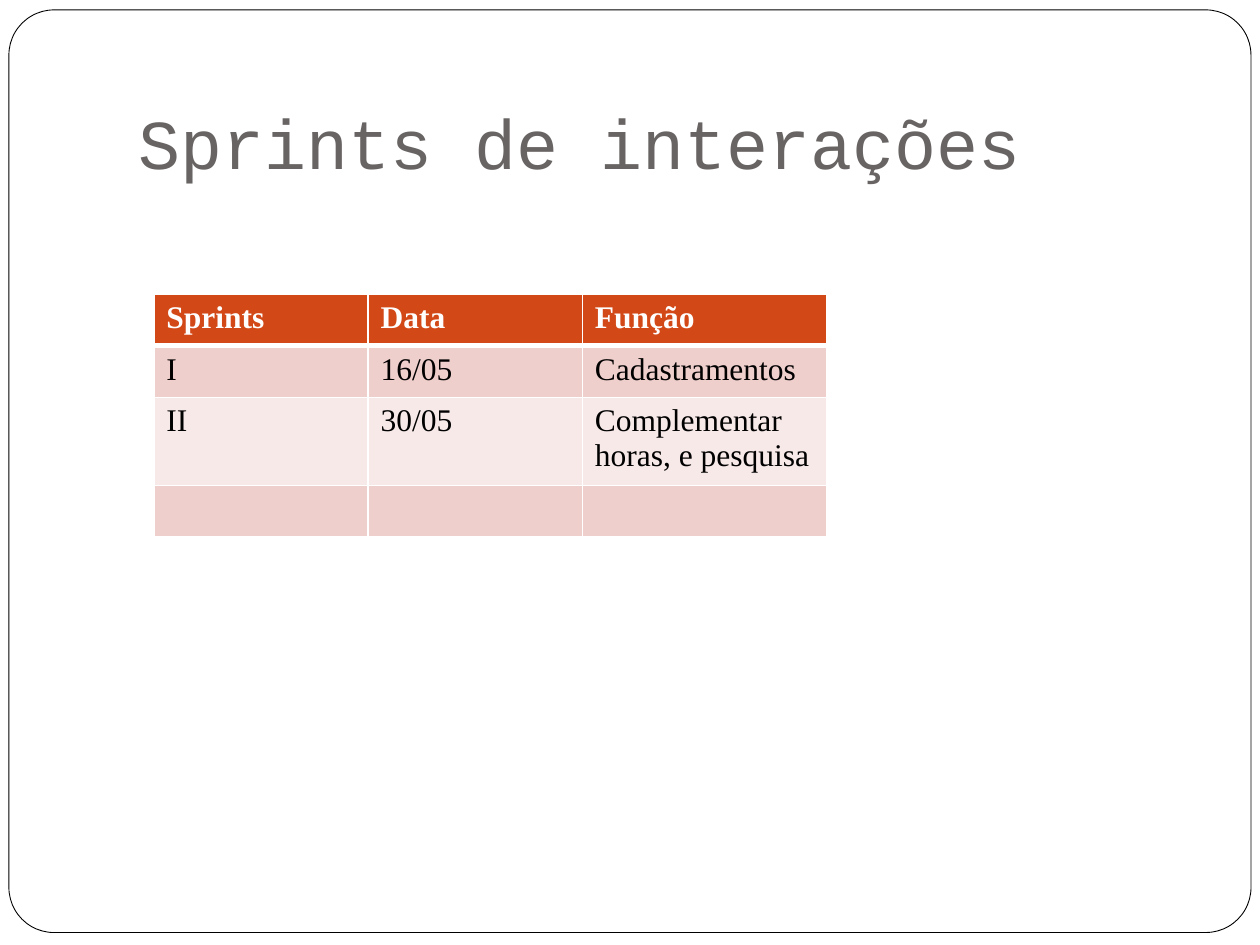
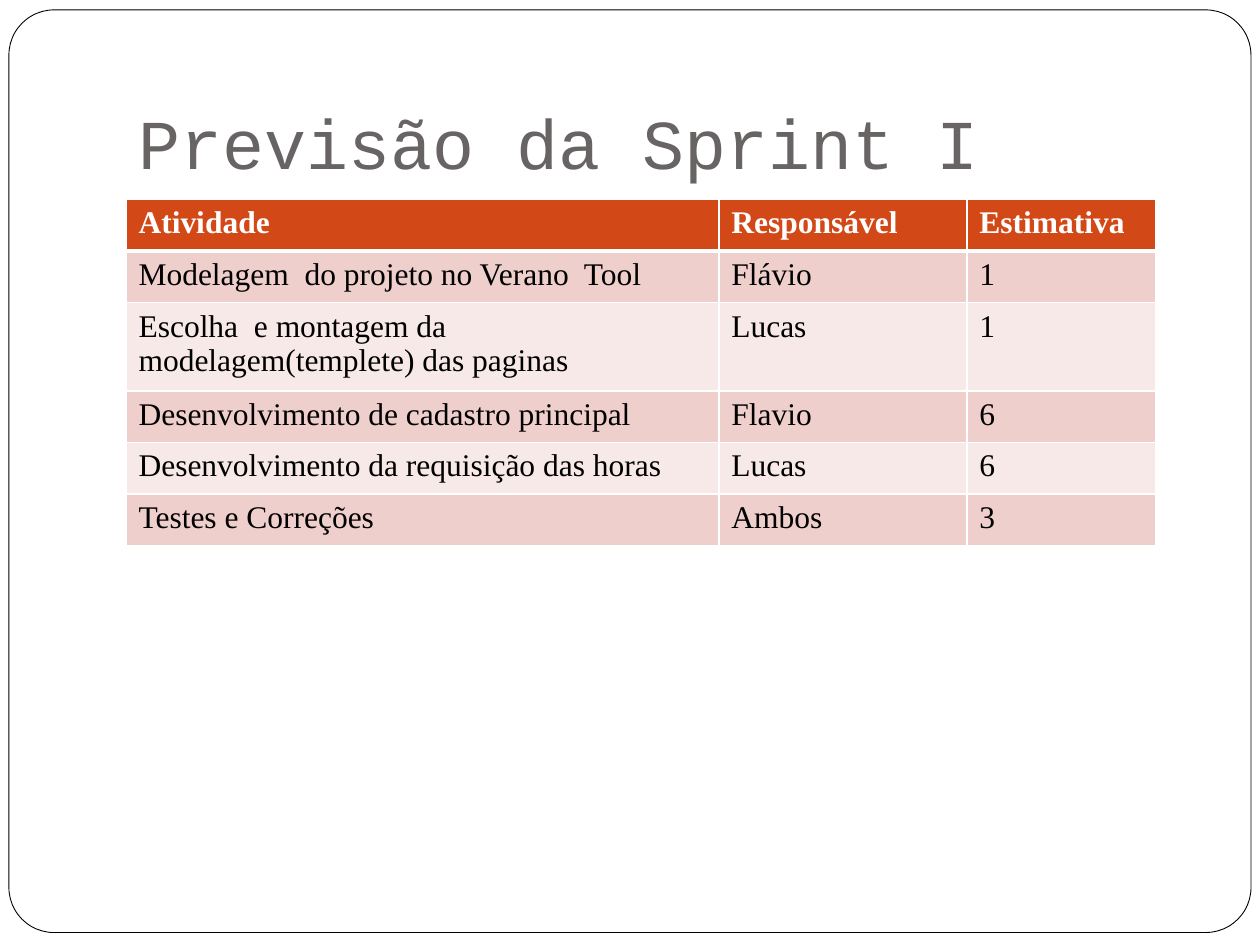
"""Build two sprint planning slides: a framed page, a title and a banded table."""
from dataclasses import dataclass
from typing import Any

from lxml import etree
from pptx import Presentation
from pptx.dml.color import RGBColor
from pptx.enum.shapes import MSO_SHAPE
from pptx.enum.text import MSO_ANCHOR
from pptx.oxml.ns import qn
from pptx.util import Cm, Pt

ROUNDED = MSO_SHAPE.ROUNDED_RECTANGLE
BOTTOM = MSO_ANCHOR.BOTTOM

WHITE, BLACK, GREY = "FFFFFF", "000000", "696464"
HEADER_FILL = "D34817"
BAND_FILLS = ("EFCFCC", "F7E9E8")

TITLE_FONT = {"name": "Courier New", "size": Pt(40), "bold": False}
HEADER_FONT = {"name": "Times New Roman", "size": Pt(18), "bold": True}
BODY_FONT = HEADER_FONT | {"bold": False}
TITLE_FRAME = {
    "word_wrap": True,
    "vertical_anchor": BOTTOM,
    "margin_left": Cm(0.25),
    "margin_right": Cm(0.25),
    "margin_top": Cm(0.13),
    "margin_bottom": Cm(0.25),
}
ROW_HEIGHT = 1.04
THIN, THICK = Pt(1), Pt(3)


@dataclass(frozen=True)
class SprintPage:
    """A titled slide with one table; lengths are in centimetres."""

    title: str
    left: float
    top: float
    widths: tuple[float, ...]
    rows: tuple[tuple[str, ...], ...]


PAGES = (
    SprintPage(
        "Sprints de interações", 3.1, 5.93, (4.32, 4.32, 4.93),
        (
            ("Sprints", "Data", "Função"),
            ("I", "16/05", "Cadastramentos"),
            ("II", "30/05", "Complementar horas, e pesquisa"),
            ("", "", ""),
        ),
    ),
    SprintPage(
        "Previsão da Sprint I", 2.54, 4.02, (11.95, 5, 3.8),
        (
            ("Atividade", "Responsável", "Estimativa"),
            ("Modelagem  do projeto no Verano  Tool", "Flávio", "1"),
            ("Escolha  e montagem da modelagem(templete) das paginas", "Lucas", "1"),
            ("Desenvolvimento de cadastro principal", "Flavio", "6"),
            ("Desenvolvimento da requisição das horas", "Lucas", "6"),
            ("Testes e Correções", "Ambos", "3"),
        ),
    ),
)


def colour(hex_code: str) -> RGBColor:
    """Turn a hex string into a colour."""
    return RGBColor.from_string(hex_code)


def apply(target: Any, values: dict[str, Any]) -> None:
    """Set each named attribute on the target."""
    for name, value in values.items():
        setattr(target, name, value)


def write(frame: Any, text: str, font: dict[str, Any], ink: str) -> None:
    """Put one formatted span into a text frame."""
    span = frame.paragraphs[0].add_run()
    span.text = text
    apply(span.font, font)
    span.font.color.rgb = colour(ink)


def draw_frame(page: Any) -> None:
    """Draw the rounded outline around the page."""
    box = page.shapes.add_shape(ROUNDED, Cm(0.18), Cm(0.2), Cm(25.04), Cm(18.6))
    box.adjustments[0] = 0.049
    box.shadow.inherit = False
    box.fill.solid()
    box.fill.fore_color.rgb = colour(WHITE)
    box.line.color.rgb = colour(BLACK)
    box.line.width = Pt(0.5)


def draw_title(page: Any, text: str) -> None:
    """Add the slide title, resting on the bottom of its box."""
    box = page.shapes.add_textbox(Cm(2.54), Cm(0.76), Cm(21.59), Cm(3.18))
    apply(box.text_frame, TITLE_FRAME)
    write(box.text_frame, text, TITLE_FONT, GREY)


def set_borders(cell: Any, top: int, bottom: int) -> None:
    """Give a cell white borders, placed ahead of its fill."""
    properties = cell._tc.get_or_add_tcPr()
    edges = {"a:lnL": THIN, "a:lnR": THIN, "a:lnT": top, "a:lnB": bottom}
    for index, (tag, width) in enumerate(edges.items()):
        edge = etree.Element(qn(tag), w=str(int(width)))
        fill = etree.SubElement(edge, qn("a:solidFill"))
        etree.SubElement(fill, qn("a:srgbClr"), val=WHITE)
        properties.insert(index, edge)


def draw_table(page: Any, content: SprintPage) -> None:
    """Add the table with a header row and alternating bands."""
    row_count = len(content.rows)
    table = page.shapes.add_table(
        row_count, len(content.widths), Cm(content.left), Cm(content.top),
        Cm(sum(content.widths)), Cm(ROW_HEIGHT * row_count),
    ).table
    for column, width in zip(table.columns, content.widths):
        column.width = Cm(width)
    for row_index, texts in enumerate(content.rows):
        header = row_index == 0
        table.rows[row_index].height = Cm(ROW_HEIGHT)
        fill = HEADER_FILL if header else BAND_FILLS[(row_index - 1) % 2]
        font, ink = (HEADER_FONT, WHITE) if header else (BODY_FONT, BLACK)
        top = THICK if row_index == 1 else THIN
        bottom = THICK if header else THIN
        for column_index, text in enumerate(texts):
            cell = table.cell(row_index, column_index)
            cell.fill.solid()
            cell.fill.fore_color.rgb = colour(fill)
            set_borders(cell, top, bottom)
            if text:
                write(cell.text_frame, text, font, ink)


def main() -> None:
    """Build and save the deck."""
    deck = Presentation()
    apply(deck, {"slide_width": Cm(25.4), "slide_height": Cm(19.05)})
    blank = deck.slide_layouts[6]
    for content in PAGES:
        page = deck.slides.add_slide(blank)
        draw_frame(page)
        draw_title(page, content.title)
        draw_table(page, content)
    deck.save("out.pptx")


main()
